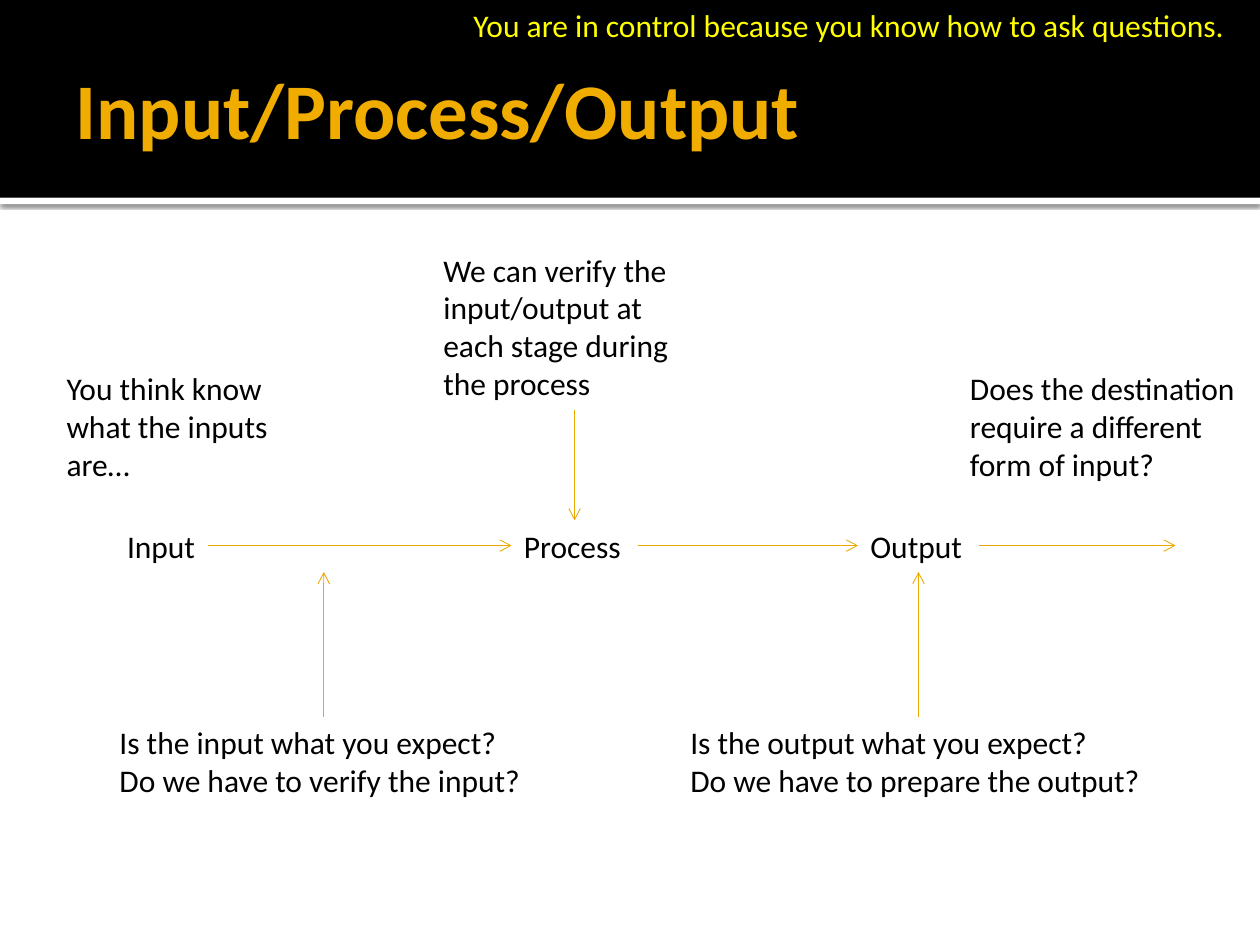
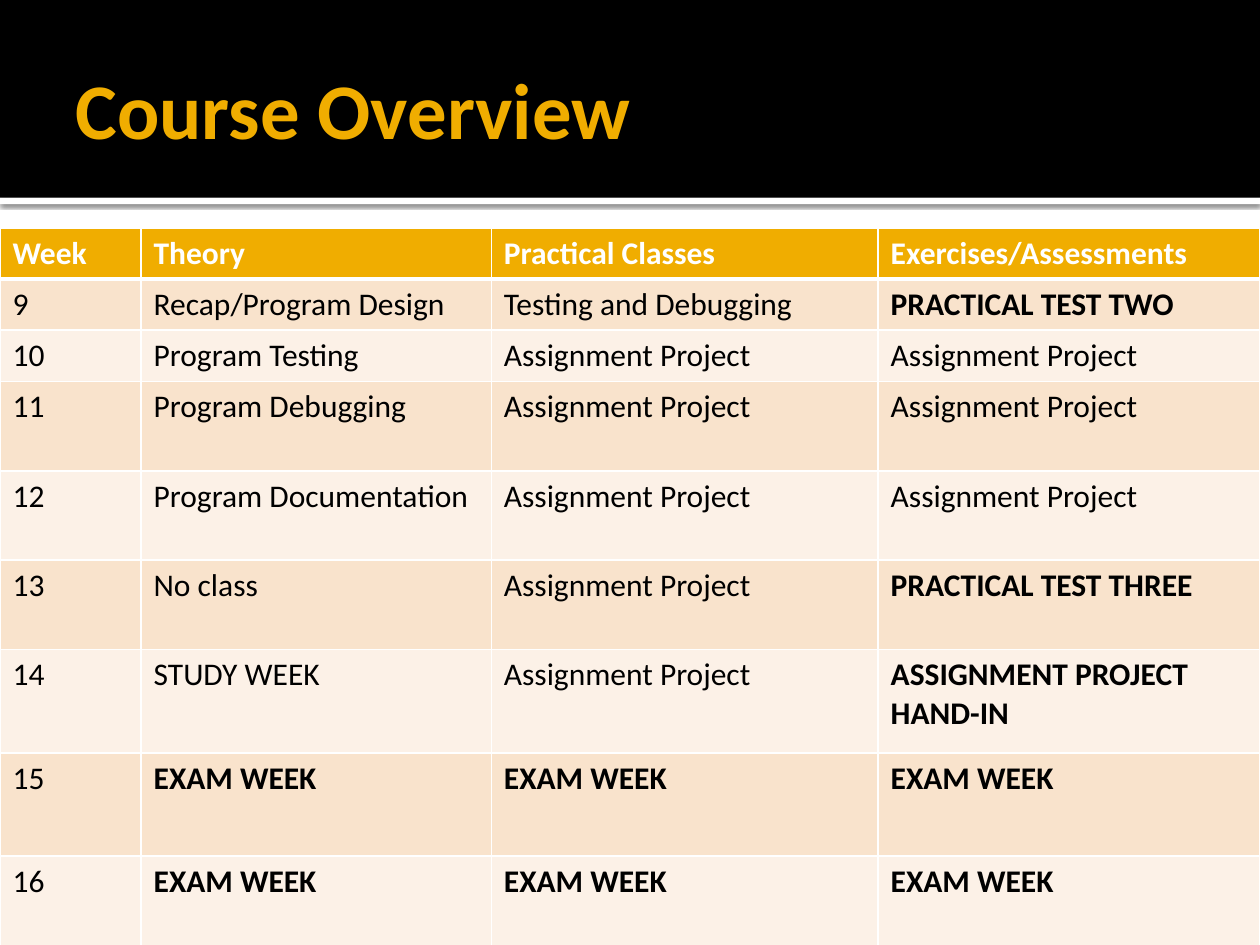
from dataclasses import dataclass

from lxml.etree import SubElement
from pptx import Presentation
from pptx.dml.color import RGBColor
from pptx.enum.shapes import MSO_CONNECTOR, MSO_SHAPE
from pptx.enum.text import MSO_ANCHOR, MSO_AUTO_SIZE, PP_ALIGN
from pptx.oxml import parse_xml
from pptx.oxml.ns import nsdecls, qn
from pptx.util import Inches, Pt


@dataclass(frozen=True)
class Theme:
    font: str = "Calibri"
    title_size: int = 45
    body_size: int = 18
    gold: str = "F0AD00"
    arrow: str = "EBA900"
    yellow: str = "FFFF00"
    black: str = "000000"
    white: str = "FFFFFF"
    row_fills: tuple = ("F9E3CC", "FCF1E7")


THEME = Theme()


def write(frame, text, size=THEME.body_size, color=THEME.black, bold=False):
    """Fill a text frame, one paragraph for each line of text."""
    for number, line in enumerate(text.split("\n")):
        para = frame.paragraphs[0] if number == 0 else frame.add_paragraph()
        para.alignment = PP_ALIGN.LEFT
        span = para.add_run()
        span.text = line
        span.font.name = THEME.font
        span.font.size = Pt(size)
        span.font.bold = bold
        span.font.color.rgb = RGBColor.from_string(color)


def add_titled_slide(deck, layout, title_text):
    slide = deck.slides.add_slide(layout)
    title = slide.shapes.title
    title.left, title.top = Inches(0.5), Inches(0.17)
    title.width, title.height = Inches(9), Inches(1.37)
    frame = title.text_frame
    frame.auto_size = MSO_AUTO_SIZE.NONE
    frame.vertical_anchor = MSO_ANCHOR.MIDDLE
    frame.margin_left = Inches(0.1)
    frame.margin_top = frame.margin_right = frame.margin_bottom = Inches(0.05)
    write(frame, title_text, size=THEME.title_size, color=THEME.gold, bold=True)
    return slide


deck = Presentation()
deck.slide_width, deck.slide_height = Inches(10), Inches(7.5)
layout = deck.slide_layouts.get_by_name("Title Only")

# Slide 1: flow from input to output
flow_slide = add_titled_slide(deck, layout, "Input/Process/Output")

# The bands are made here and moved to the layout, behind its placeholders
bands = []
for top, height, color in [(1.57, 0.05, THEME.white), (0, 1.57, THEME.black)]:
    band = flow_slide.shapes.add_shape(
        MSO_SHAPE.RECTANGLE, 0, Inches(top), deck.slide_width, Inches(height))
    band.shadow.inherit = False
    band.fill.solid()
    band.fill.fore_color.rgb = RGBColor.from_string(color)
    band.line.fill.background()
    bands.append(band)

edge_effects = bands[0].element.spPr.find(qn("a:effectLst"))
edge_effects.append(parse_xml(
    f'<a:outerShdw {nsdecls("a")} blurRad="{Pt(2.5)}" dist="{Pt(0.8)}" dir="5400000"'
    f' algn="t" rotWithShape="0"><a:srgbClr val="{THEME.black}">'
    '<a:alpha val="60000"/></a:srgbClr></a:outerShdw>'))
for position, band in enumerate(bands, start=2):
    layout.shapes.element.insert(position, band.element)

flow_y = 4.33
stage_top = 4.13
question_top = 5.69

# left, top, width, height, wraps, colour, text
notes = [
    (0.91, stage_top, 0.75, 0.4, False, THEME.black, "Input"),
    (4.06, stage_top, 1, 0.4, False, THEME.black, "Process"),
    (6.81, stage_top, 0.96, 0.4, False, THEME.black, "Output"),
    (0.43, 2.88, 2.2, 1.01, True, THEME.black, "You think know what the inputs are…"),
    (3.42, 1.94, 2.28, 1.31, True, THEME.black,
     "We can verify the input/output at each stage during the process"),
    (7.6, 2.88, 2.4, 1.01, True, THEME.black,
     "Does the destination require a different form of input?"),
    (0.85, question_top, 3.43, 0.71, False, THEME.black,
     "Is the input what you expect?\nDo we have to verify the input?"),
    (5.38, question_top, 3.82, 0.71, False, THEME.black,
     "Is the output what you expect?\nDo we have to prepare the output?"),
    (3.66, 0, 6.34, 0.4, False, THEME.yellow,
     "You are in control because you know how to ask questions."),
]
for left, top, width, height, wraps, color, text in notes:
    box = flow_slide.shapes.add_textbox(
        Inches(left), Inches(top), Inches(width), Inches(height))
    box.text_frame.word_wrap = wraps
    box.text_frame.auto_size = MSO_AUTO_SIZE.SHAPE_TO_FIT_TEXT
    write(box.text_frame, text, color=color)

arrows = [
    (1.65, flow_y, 4.06, flow_y),
    (5.06, flow_y, 6.81, flow_y),
    (7.77, flow_y, 9.33, flow_y),
    (4.56, 3.25, 4.56, stage_top),
    (2.57, question_top, 2.57, 4.54),
    (7.29, question_top, 7.29, 4.54),
]
for ends in arrows:
    arrow = flow_slide.shapes.add_connector(
        MSO_CONNECTOR.STRAIGHT, *(Inches(end) for end in ends))
    arrow.line.color.rgb = RGBColor.from_string(THEME.arrow)
    arrow.line.width = Pt(0.5)
    properties = arrow.element.spPr
    SubElement(properties.find(qn("a:ln")), qn("a:tailEnd"), type="arrow")
    SubElement(properties, qn("a:effectLst"))

# Slide 2: timetable
course_slide = add_titled_slide(deck, layout, "Course Overview")

project = "Assignment Project"
exam = "EXAM WEEK"
timetable = [
    ("Week", "Theory", "Practical Classes", "Exercises/Assessments"),
    ("9", "Recap/Program Design", "Testing and Debugging", "PRACTICAL TEST TWO"),
    ("10", "Program Testing", project, project),
    ("11", "Program Debugging", project, project),
    ("12", "Program Documentation", project, project),
    ("13", "No class", project, "PRACTICAL TEST THREE"),
    ("14", "STUDY WEEK", project, "ASSIGNMENT PROJECT HAND-IN"),
    ("15", exam, exam, exam),
    ("16", exam, exam, exam),
]
column_widths = [1.12, 2.78, 3.07, 3.03]
row_heights = [0.4] * 3 + [0.71] * 3 + [0.82] * 3

table_frame = course_slide.shapes.add_table(
    len(timetable), len(column_widths), 0, Inches(1.81),
    deck.slide_width, Inches(sum(row_heights)))
table = table_frame.table
for column, width in zip(table.columns, column_widths):
    column.width = Inches(width)

for row_number, (row, height, texts) in enumerate(
        zip(table.rows, row_heights, timetable)):
    row.height = Inches(height)
    is_header = row_number == 0
    fill = THEME.gold if is_header else THEME.row_fills[(row_number - 1) % 2]
    for cell, text in zip(row.cells, texts):
        write(cell.text_frame, text,
              color=THEME.white if is_header else THEME.black,
              bold=is_header or (text.isupper() and text != "STUDY WEEK"))
        cell.fill.solid()
        cell.fill.fore_color.rgb = RGBColor.from_string(fill)

# White cell borders, thicker below the header
for row_number, row_element in enumerate(table_frame.element.iter(qn("a:tr"))):
    border_widths = {
        "lnL": 1, "lnR": 1,
        "lnT": 3 if row_number == 1 else 1,
        "lnB": 3 if row_number == 0 else 1,
    }
    for properties in row_element.iter(qn("a:tcPr")):
        for position, (side, width) in enumerate(border_widths.items()):
            properties.insert(position, parse_xml(
                f'<a:{side} {nsdecls("a")} w="{Pt(width)}"><a:solidFill>'
                f'<a:srgbClr val="{THEME.white}"/></a:solidFill></a:{side}>'))

deck.save("out.pptx")
